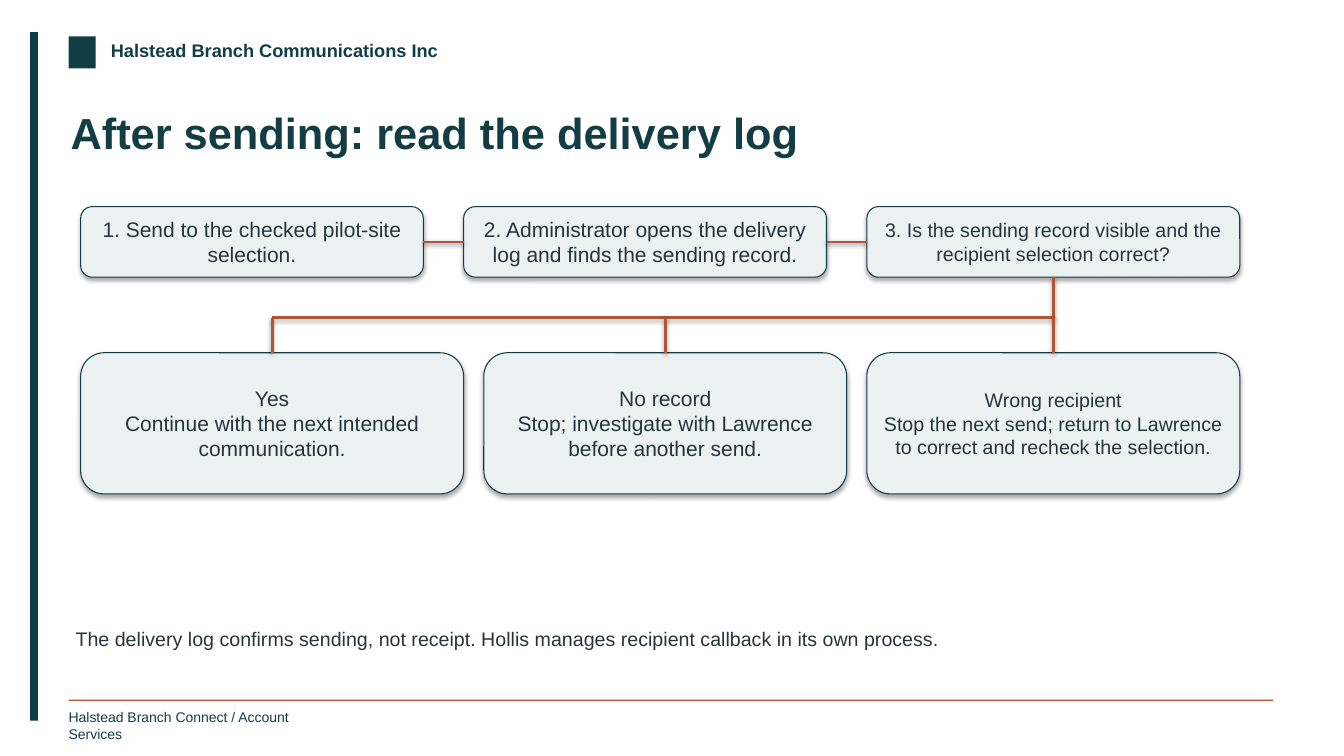
from pptx import Presentation
from pptx.dml.color import RGBColor
from pptx.enum.shapes import MSO_CONNECTOR, MSO_SHAPE
from pptx.enum.text import MSO_ANCHOR, PP_ALIGN
from pptx.util import Pt

TEAL = RGBColor(0x13, 0x3D, 0x45)
RUST = RGBColor(0xAF, 0x56, 0x36)
PALE = RGBColor(0xEB, 0xF2, 0xF1)
INK = RGBColor(0x26, 0x35, 0x3B)
FONT = "Arial"
RECTANGLE = MSO_SHAPE.RECTANGLE
ROUNDED = MSO_SHAPE.ROUNDED_RECTANGLE
STRAIGHT = MSO_CONNECTOR.STRAIGHT
LEFT, CENTER = PP_ALIGN.LEFT, PP_ALIGN.CENTER
TOP, MIDDLE = MSO_ANCHOR.TOP, MSO_ANCHOR.MIDDLE
TOP_SIDE, LEFT_SIDE, BOTTOM_SIDE, RIGHT_SIDE = range(4)

STEPS = [
    (244.8, 15, ["1. Send to the checked pilot-site selection."]),
    (259.2, 15, ["2. Administrator opens the delivery log and finds the sending record."]),
    (266.4, 14, ["3. Is the sending record visible and the recipient selection correct?"]),
]
OUTCOMES = [
    (273.6, 15, ["Yes", "Continue with the next intended communication."]),
    (259.2, 15, ["No record", "Stop; investigate with Lawrence before another send."]),
    (266.4, 14, ["Wrong recipient",
                 "Stop the next send; return to Lawrence to correct and recheck the selection."]),
]


def write_text(frame, lines, size, color, bold=False, align=LEFT, anchor=TOP, wrap=True):
    frame.word_wrap = wrap
    frame.vertical_anchor = anchor
    for index, line in enumerate(lines):
        para = frame.paragraphs[0] if index == 0 else frame.add_paragraph()
        para.alignment = align
        span = para.add_run()
        span.text = line
        span.font.name = FONT
        span.font.size = Pt(size)
        span.font.bold = bold
        span.font.color.rgb = color


def add_label(page, left, top, width, height, text, **text_format):
    box = page.shapes.add_textbox(Pt(left), Pt(top), Pt(width), Pt(height))
    frame = box.text_frame
    frame.margin_left = frame.margin_right = frame.margin_top = frame.margin_bottom = 0
    write_text(frame, [text], **text_format)


def add_bar(page, left, top, width, height, color):
    bar = page.shapes.add_shape(RECTANGLE, Pt(left), Pt(top), Pt(width), Pt(height))
    bar.shadow.inherit = False
    bar.fill.solid()
    bar.fill.fore_color.rgb = color
    bar.line.fill.background()


def add_card_row(page, left, top, height, gap, cards):
    row = []
    for width, size, lines in cards:
        card = page.shapes.add_shape(ROUNDED, Pt(left), Pt(top), Pt(width), Pt(height))
        card.fill.solid()
        card.fill.fore_color.rgb = PALE
        card.line.color.rgb = TEAL
        card.line.width = Pt(0.75)
        write_text(card.text_frame, lines, size, INK, align=CENTER, anchor=MIDDLE)
        row.append(card)
        left += width + gap
    return row


def add_link(page, start_x, start_y, end_x, end_y, source=None, target=None):
    link = page.shapes.add_connector(STRAIGHT, start_x, start_y, end_x, end_y)
    link.line.color.rgb = RUST
    link.line.width = Pt(2)
    if source:
        link.begin_connect(*source)
    if target:
        link.end_connect(*target)


def middle_x(card):
    return card.left + card.width // 2


def add_frame(page, left, top, width, height):
    add_bar(page, left, top, 5.4, height, TEAL)
    inner = left + 27.4
    add_bar(page, inner, top + 2.9, 19.4, 23, TEAL)
    add_label(page, left + 57.6, top + 5.1, 255.6, 19.4, "Halstead Branch Communications Inc",
              size=13, color=TEAL, bold=True, wrap=False)
    bottom = top + height
    add_bar(page, inner, bottom - 15.1, width - 27.4, 0.9, RUST)
    add_label(page, inner, bottom - 8.6, 187.2, 16.6, "Halstead Branch Connect / Account Services",
              size=10, color=TEAL, wrap=False)


def add_flow(page, left, top):
    steps = add_card_row(page, left, top, 50.4, 28.8, STEPS)
    outcomes = add_card_row(page, left, top + 104.4, 100.8, 14.4, OUTCOMES)
    for before, after in zip(steps, steps[1:]):
        level = before.top + before.height // 2
        add_link(page, before.left + before.width, level, after.left, level,
                 (before, RIGHT_SIDE), (after, LEFT_SIDE))
    question = steps[-1]
    fork_x, fork_y = middle_x(question), Pt(top + 79.2)
    add_link(page, fork_x, question.top + question.height, fork_x, fork_y,
             source=(question, BOTTOM_SIDE))
    add_link(page, middle_x(outcomes[0]), fork_y, fork_x, fork_y)
    for outcome in outcomes:
        center = middle_x(outcome)
        add_link(page, center, fork_y, center, outcome.top, target=(outcome, TOP_SIDE))


def main():
    deck = Presentation()
    deck.slide_width, deck.slide_height = Pt(960), Pt(540)
    page = deck.slides.add_slide(deck.slide_layouts[6])
    add_frame(page, 21.6, 23, 887.8, 491.8)
    add_label(page, 50.4, 76, 856.8, 61.9, "After sending: read the delivery log",
              size=31, color=TEAL, bold=True)
    add_flow(page, 57.6, 147.6)
    add_label(page, 54, 447.8, 851, 31.7,
              "The delivery log confirms sending, not receipt. "
              "Hollis manages recipient callback in its own process.",
              size=14, color=INK)
    deck.save("out.pptx")


if __name__ == "__main__":
    main()
